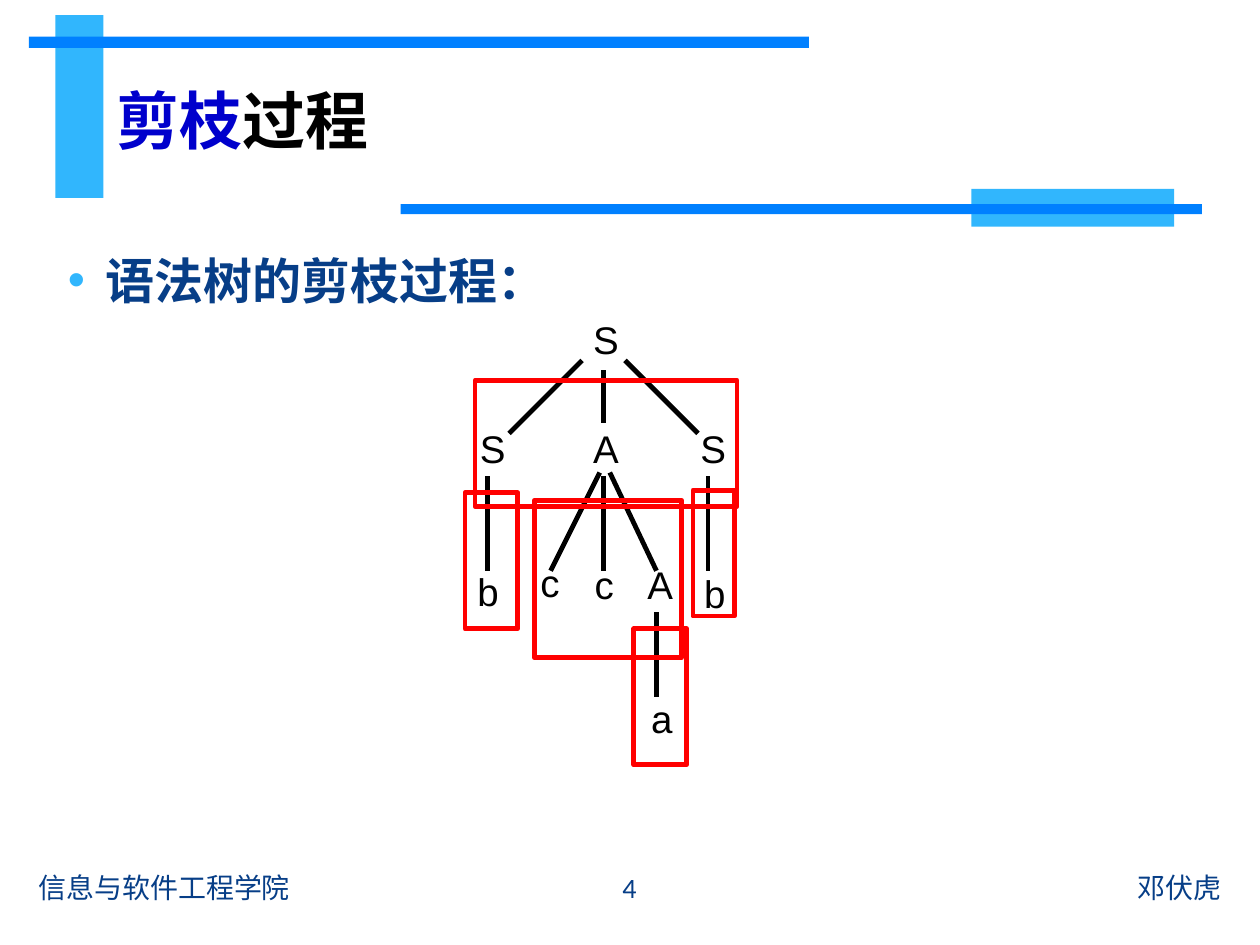
from lxml import etree
from pptx import Presentation
from pptx.dml.color import RGBColor
from pptx.enum.shapes import MSO_CONNECTOR, MSO_SHAPE
from pptx.enum.text import MSO_ANCHOR, MSO_AUTO_SIZE, PP_ALIGN
from pptx.oxml.ns import qn
from pptx.util import Inches, Pt

RECTANGLE, STRAIGHT = MSO_SHAPE.RECTANGLE, MSO_CONNECTOR.STRAIGHT
TOP, MIDDLE = MSO_ANCHOR.TOP, MSO_ANCHOR.MIDDLE
LEFT, CENTER, RIGHT = PP_ALIGN.LEFT, PP_ALIGN.CENTER, PP_ALIGN.RIGHT
FIT_SHAPE = MSO_AUTO_SIZE.SHAPE_TO_FIT_TEXT

SKY = RGBColor(0x31, 0xB6, 0xFD)
AZURE = RGBColor(0x00, 0x80, 0xFF)
NAVY = RGBColor(0x07, 0x3E, 0x87)
BLUE = RGBColor(0x00, 0x00, 0xCC)
BLACK = RGBColor(0, 0, 0)
RED = RGBColor(0xFF, 0, 0)
STROKE = Pt(2.75)

# left, top, width, height, colour
BANDS = [
    (0.44, 0.12, 0.38, 1.45, SKY),
    (0.23, 0.29, 6.19, 0.09, AZURE),
    (7.71, 1.5, 1.61, 0.3, SKY),
    (3.18, 1.62, 6.36, 0.08, AZURE),
]
TITLE = [("剪枝", BLUE), ("过程", BLACK)]
HEADING = [("语法树的剪枝过程：", NAVY)]
# text, left, width, alignment
FOOTERS = [
    ("信息与软件工程学院", 0.21, 4.14, LEFT),
    ("4", 4.36, 1.27, CENTER),
    ("邓伏虎", 5.65, 4.14, RIGHT),
]
FOOTER_TOP, FOOTER_HEIGHT = 6.84, 0.4

# symbol, left, top, width
NODES = [
    ("S", 4.61, 2.49, 0.41),
    ("S", 3.71, 3.36, 0.41),
    ("A", 4.61, 3.36, 0.44),
    ("S", 5.46, 3.36, 0.41),
    ("b", 3.69, 4.49, 0.37),
    ("c", 4.19, 4.42, 0.35),
    ("c", 4.62, 4.44, 0.35),
    ("A", 5.04, 4.44, 0.41),
    ("b", 5.49, 4.51, 0.37),
    ("a", 5.07, 5.5, 0.37),
]
NODE_HEIGHT = 0.44
# x and y of the parent end, x and y of the child end
BRANCHES = [
    (4.62, 2.86, 4.04, 3.44),
    (4.79, 2.94, 4.79, 3.36),
    (4.96, 2.86, 5.54, 3.44),
    (3.87, 3.78, 3.87, 4.53),
    (4.76, 3.75, 4.37, 4.53),
    (4.79, 3.78, 4.79, 4.53),
    (4.84, 3.75, 5.21, 4.53),
    (5.62, 3.78, 5.62, 4.53),
    (5.21, 4.86, 5.21, 5.53),
]
# left, top, width, height of each pruned subtree
PRUNED = [
    (3.69, 3.91, 0.42, 1.08),
    (5.03, 4.99, 0.42, 1.08),
    (4.24, 3.97, 1.17, 1.25),
    (5.5, 3.89, 0.33, 1),
    (3.77, 3.02, 2.08, 1),
]


def add_rectangle(page, place, fill=None, line=None):
    box = page.shapes.add_shape(RECTANGLE, *map(Inches, place))
    box.shadow.inherit = False
    if fill is None:
        box.fill.background()
    else:
        box.fill.solid()
        box.fill.fore_color.rgb = fill
    if line is None:
        box.line.fill.background()
    else:
        box.line.color.rgb = line
        box.line.width = STROKE


def add_branch(page, ends):
    branch = page.shapes.add_connector(STRAIGHT, *map(Inches, ends))
    branch.line.color.rgb = BLACK
    branch.line.width = STROKE
    etree.SubElement(branch._element.spPr, qn("a:effectLst"))


def add_text(page, place, spans, size, font, bold=False, align=LEFT,
             anchor=TOP, wrap=True):
    """Add a one-paragraph text box and return it; spans are (text, colour)."""
    box = page.shapes.add_textbox(*map(Inches, place))
    frame = box.text_frame
    frame.word_wrap = wrap
    frame.vertical_anchor = anchor
    para = frame.paragraphs[0]
    para.alignment = align
    for text, colour in spans:
        span = para.add_run()
        span.text = text
        span.font.size = Pt(size)
        span.font.name = font
        span.font.bold = bold
        span.font.color.rgb = colour
    return box


def add_bullet(para, colour, indent):
    props = para._p.get_or_add_pPr()
    props.set("marL", str(Inches(indent)))
    props.set("indent", str(-Inches(indent)))
    holder = etree.SubElement(props, qn("a:buClr"))
    etree.SubElement(holder, qn("a:srgbClr"), val=str(colour))
    etree.SubElement(props, qn("a:buFont"), typeface="Arial")
    etree.SubElement(props, qn("a:buChar"), char="•")


def add_node(page, symbol, left, top, width):
    box = add_text(page, (left, top, width, NODE_HEIGHT), [(symbol, BLACK)],
                   22, "Arial", wrap=False)
    box.text_frame.auto_size = FIT_SHAPE
    box.text_frame.paragraphs[0].line_spacing = 0.93


def main():
    deck = Presentation()
    deck.slide_width, deck.slide_height = Inches(10), Inches(7.5)
    page = deck.slides.add_slide(deck.slide_layouts[6])

    for *place, colour in BANDS:
        add_rectangle(page, place, fill=colour)
    heading = add_text(page, (0.44, 1.94, 9.1, 4.76), HEADING, 28, "Calibri", bold=True)
    para = heading.text_frame.paragraphs[0]
    para.space_before = Pt(5.6)
    add_bullet(para, SKY, 0.3)
    add_text(page, (0.83, 0.44, 7.72, 1.02), TITLE, 36, "Arial", bold=True, anchor=MIDDLE)

    for ends in BRANCHES:
        add_branch(page, ends)
    for node in NODES:
        add_node(page, *node)
    for place in PRUNED:
        add_rectangle(page, place, line=RED)

    for text, left, width, align in FOOTERS:
        add_text(page, (left, FOOTER_TOP, width, FOOTER_HEIGHT), [(text, NAVY)],
                 16, "Calibri", align=align, anchor=MIDDLE)
    deck.save("out.pptx")


if __name__ == "__main__":
    main()
